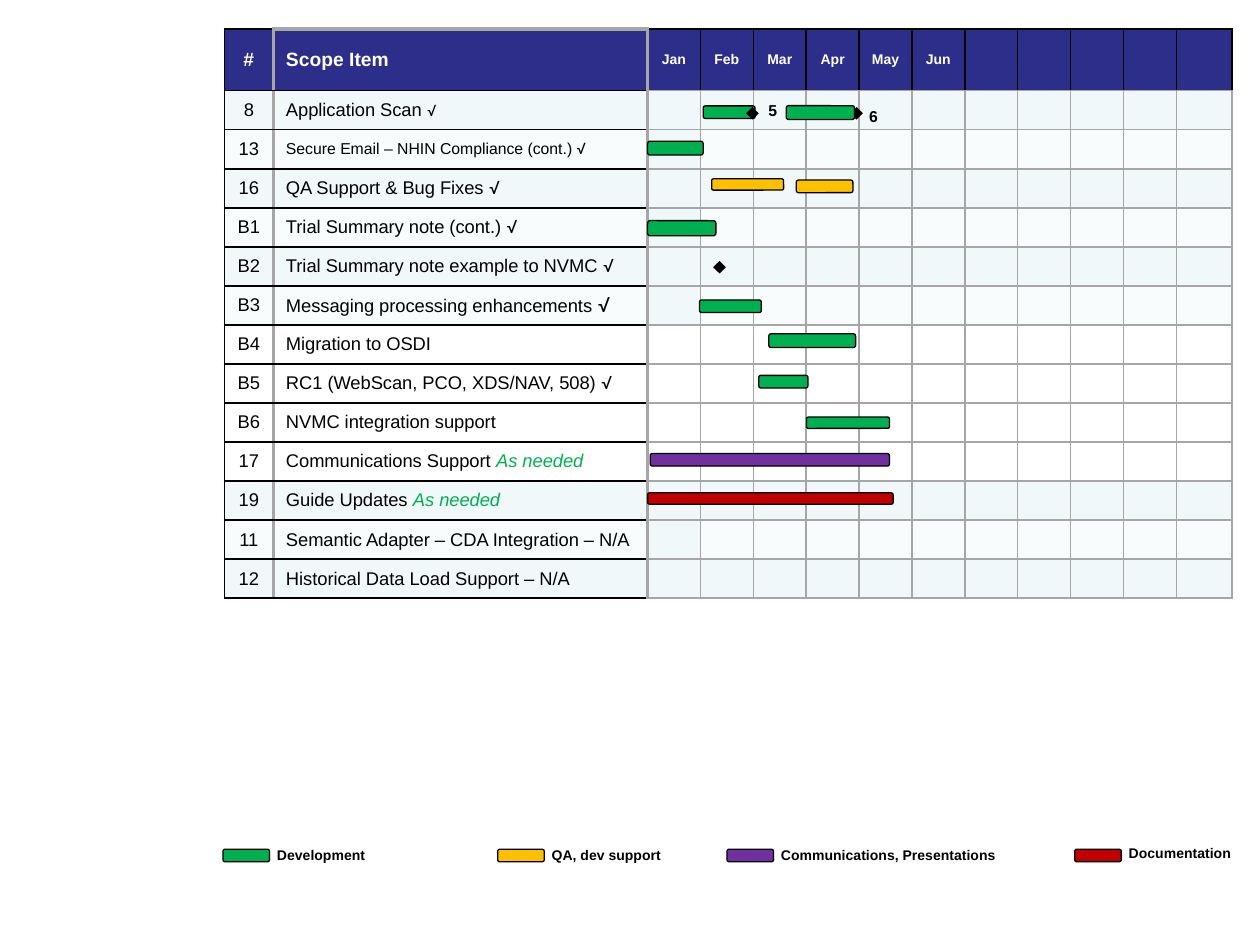
from dataclasses import dataclass

from lxml import etree
from pptx import Presentation
from pptx.dml.color import RGBColor
from pptx.enum.shapes import MSO_SHAPE
from pptx.enum.text import MSO_ANCHOR, PP_ALIGN
from pptx.oxml.ns import qn
from pptx.util import Inches, Pt

BAR, MILESTONE = MSO_SHAPE.ROUNDED_RECTANGLE, MSO_SHAPE.FLOWCHART_DECISION
CENTER, LEFT, MIDDLE = PP_ALIGN.CENTER, PP_ALIGN.LEFT, MSO_ANCHOR.MIDDLE
NAVY, BLACK, WHITE, GRAY = "2D2D8A", "000000", "FFFFFF", "A6A6A6"
MINT, PALE = "F1F8F9", "F8FCFC"
GREEN, AMBER, PURPLE, RED = "00B050", "FFC000", "7030A0", "C00000"
TABLE_LEFT, TABLE_TOP = 1.78, 0.23
NUMBER_WIDTH, SCOPE_WIDTH, MONTH_WIDTH, LAST_WIDTH = 0.39, 2.97, 0.42, 0.44
HEADER_HEIGHT, ROW_HEIGHT = 0.49, 0.31
MONTH_COUNT = 11
MONTHS = ["Jan", "Feb", "Mar", "Apr", "May", "Jun"]
CHART_LEFT = TABLE_LEFT + NUMBER_WIDTH + SCOPE_WIDTH
CHART_TOP = TABLE_TOP + HEADER_HEIGHT
THIN_BLACK, THIN_GRAY, THICK_GRAY = (BLACK, 1), (GRAY, 1), (GRAY, 2.25)


@dataclass
class TextRun:
    text: str
    size: float = 10.5
    color: str = BLACK
    bold: bool = False
    italic: bool = False
    font: str = "Arial"


@dataclass
class ScopeItem:
    number: str
    name: str
    fill: str
    size: float = 10.5
    check_size: float = 0
    note: str = ""

    def runs(self) -> list[TextRun]:
        extra = []
        if self.check_size:
            extra.append(TextRun("√", self.check_size, font="Roboto"))
        if self.note:
            extra.append(TextRun(self.note, color=GREEN, italic=True))
        return [TextRun(self.name + (" " if extra else ""), self.size)] + extra


@dataclass
class Mark:
    month: float
    row: float
    months: float
    height: float = 0.1
    color: str = GREEN
    kind: int = BAR


@dataclass
class LegendEntry:
    left: float
    label: str
    color: str
    label_width: float
    label_top: float = 6.67


ITEMS = [
    ScopeItem("8", "Application Scan", MINT, check_size=9),
    ScopeItem("13", "Secure Email – NHIN Compliance (cont.)", PALE, 9, 9),
    ScopeItem("16", "QA Support & Bug Fixes", MINT, check_size=10.5),
    ScopeItem("B1", "Trial Summary note (cont.)", PALE, check_size=10.5),
    ScopeItem("B2", "Trial Summary note example to NVMC", MINT, check_size=10.5),
    ScopeItem("B3", "Messaging processing enhancements", PALE, check_size=12),
    ScopeItem("B4", "Migration to OSDI", WHITE),
    ScopeItem("B5", "RC1 (WebScan, PCO, XDS/NAV, 508)", WHITE, check_size=10.5),
    ScopeItem("B6", "NVMC integration support", WHITE),
    ScopeItem("17", "Communications Support", WHITE, note="As needed"),
    ScopeItem("19", "Guide Updates", MINT, note="As needed"),
    ScopeItem("11", "Semantic Adapter – CDA Integration – N/A", PALE),
    ScopeItem("12", "Historical Data Load Support – N/A", MINT),
]
MARKS = [
    Mark(1.05, 0.55, 0.98),
    Mark(0, 1.47, 1.05, 0.11),
    Mark(1.21, 2.4, 1.36, 0.09, AMBER),
    Mark(2.81, 2.45, 1.07, 0.1, AMBER),
    Mark(0, 3.52, 1.29, 0.12),
    Mark(0.98, 5.52, 1.17),
    Mark(2.29, 6.4, 1.64, 0.11),
    Mark(2.1, 7.45, 0.93),
    Mark(3, 8.5, 1.57, 0.09),
    Mark(0.05, 9.45, 4.52, 0.1, PURPLE),
    Mark(0, 10.44, 4.64, 0.09, RED),
    Mark(1.86, 0.58, 0.24, 0.1, BLACK, MILESTONE),
    Mark(1.24, 4.52, 0.24, 0.1, BLACK, MILESTONE),
    Mark(3.83, 0.58, 0.24, 0.1, BLACK, MILESTONE),
    Mark(2.62, 0.56, 1.29, 0.11),
]
LEGEND = [
    LegendEntry(1.77, "Development", GREEN, 1),
    LegendEntry(3.95, "QA, dev support", AMBER, 1.17),
    LegendEntry(5.77, "Communications, Presentations", PURPLE, 2.07),
    LegendEntry(8.53, "Documentation", RED, 1.17, 6.65),
]


def paint(fill, color: str) -> None:
    fill.solid()
    fill.fore_color.rgb = RGBColor.from_string(color)


def write_runs(paragraph, runs: list[TextRun]) -> None:
    for item in runs:
        run = paragraph.add_run()
        run.text = item.text
        run.font.size = Pt(item.size)
        run.font.name = item.font
        run.font.bold = item.bold
        run.font.italic = item.italic
        run.font.color.rgb = RGBColor.from_string(item.color)


def set_borders(cell, left, right, top, bottom) -> None:
    properties = cell._tc.get_or_add_tcPr()
    for side, (color, width) in zip("LRTB", (left, right, top, bottom)):
        line = etree.SubElement(properties, qn(f"a:ln{side}"), w=str(Pt(width)))
        solid = etree.SubElement(line, qn("a:solidFill"))
        etree.SubElement(solid, qn("a:srgbClr"), val=color)


def fill_cell(cell, runs: list[TextRun], fill: str, alignment, borders) -> None:
    set_borders(cell, *borders)
    paint(cell.fill, fill)
    cell.vertical_anchor = MIDDLE
    cell.margin_top = cell.margin_bottom = Inches(0.03)
    if alignment == CENTER:
        cell.margin_left = cell.margin_right = Inches(0.05)
    paragraph = cell.text_frame.paragraphs[0]
    paragraph.alignment = alignment
    write_runs(paragraph, runs)
    if not runs:
        etree.SubElement(paragraph._p, qn("a:endParaRPr"), sz="800")


def draw_table(slide) -> None:
    widths = [NUMBER_WIDTH, SCOPE_WIDTH] + [MONTH_WIDTH] * (MONTH_COUNT - 1) + [LAST_WIDTH]
    heights = [HEADER_HEIGHT] + [ROW_HEIGHT] * len(ITEMS)
    table = slide.shapes.add_table(
        len(heights), len(widths), Inches(TABLE_LEFT), Inches(TABLE_TOP),
        Inches(sum(widths)), Inches(sum(heights))).table
    table.first_row = table.horz_banding = False
    for column, width in zip(table.columns, widths):
        column.width = Inches(width)
    for row, height in zip(table.rows, heights):
        row.height = Inches(height)

    number_borders = (THIN_BLACK, THICK_GRAY, THIN_BLACK, THIN_BLACK)
    fill_cell(table.cell(0, 0), [TextRun("#", 11, WHITE, True)], NAVY, CENTER, number_borders)
    fill_cell(table.cell(0, 1), [TextRun("Scope Item", 11, WHITE, True)], NAVY, LEFT,
              (THICK_GRAY, THICK_GRAY, THICK_GRAY, THIN_BLACK))
    for month in range(MONTH_COUNT):
        runs = [TextRun(name, 8, WHITE, True) for name in MONTHS[month:month + 1]]
        left = THIN_BLACK if month else THICK_GRAY
        fill_cell(table.cell(0, month + 2), runs, NAVY, CENTER,
                  (left, THIN_BLACK, THIN_BLACK, THIN_GRAY))

    for row, item in enumerate(ITEMS, 1):
        fill_cell(table.cell(row, 0), [TextRun(item.number)], item.fill, CENTER, number_borders)
        fill_cell(table.cell(row, 1), item.runs(), item.fill, LEFT,
                  (THICK_GRAY, THICK_GRAY, THIN_BLACK, THIN_BLACK))
        for month in range(MONTH_COUNT):
            fill = MINT if month == 0 and item.fill == PALE else item.fill
            left = THIN_GRAY if month else THICK_GRAY
            fill_cell(table.cell(row, month + 2), [], fill, CENTER,
                      (left, THIN_GRAY, THIN_GRAY, THIN_GRAY))


def draw_shape(slide, kind, left: float, top: float, width: float, height: float, color: str) -> None:
    shape = slide.shapes.add_shape(kind, Inches(left), Inches(top), Inches(width), Inches(height))
    shape.shadow.inherit = False
    paint(shape.fill, color)
    if kind == MILESTONE:
        shape.line.fill.background()
    else:
        paint(shape.line.fill, BLACK)
        shape.line.width = Pt(0.75)


def draw_label(slide, text: str, left: float, top: float, width: float, size: float) -> None:
    box = slide.shapes.add_textbox(Inches(left), Inches(top), Inches(width), Inches(0.24))
    box.text_frame.word_wrap = size == 8
    write_runs(box.text_frame.paragraphs[0], [TextRun(text, size, bold=True)])


presentation = Presentation()
presentation.slide_width, presentation.slide_height = Inches(10), Inches(7.5)
slide = presentation.slides.add_slide(presentation.slide_layouts[6])
draw_table(slide)
for mark in MARKS:
    draw_shape(slide, mark.kind, CHART_LEFT + mark.month * MONTH_WIDTH,
               CHART_TOP + mark.row * ROW_HEIGHT - mark.height / 2,
               mark.months * MONTH_WIDTH, mark.height, mark.color)
for text, left, top in (("5", 6, 0.75), ("6", 6.8, 0.8)):
    draw_label(slide, text, left, top, 0.2, 9)
for entry in LEGEND:
    draw_shape(slide, BAR, entry.left, 6.74, 0.37, 0.1, entry.color)
    draw_label(slide, entry.label, entry.left + 0.33, entry.label_top, entry.label_width, 8)
presentation.save("out.pptx")
